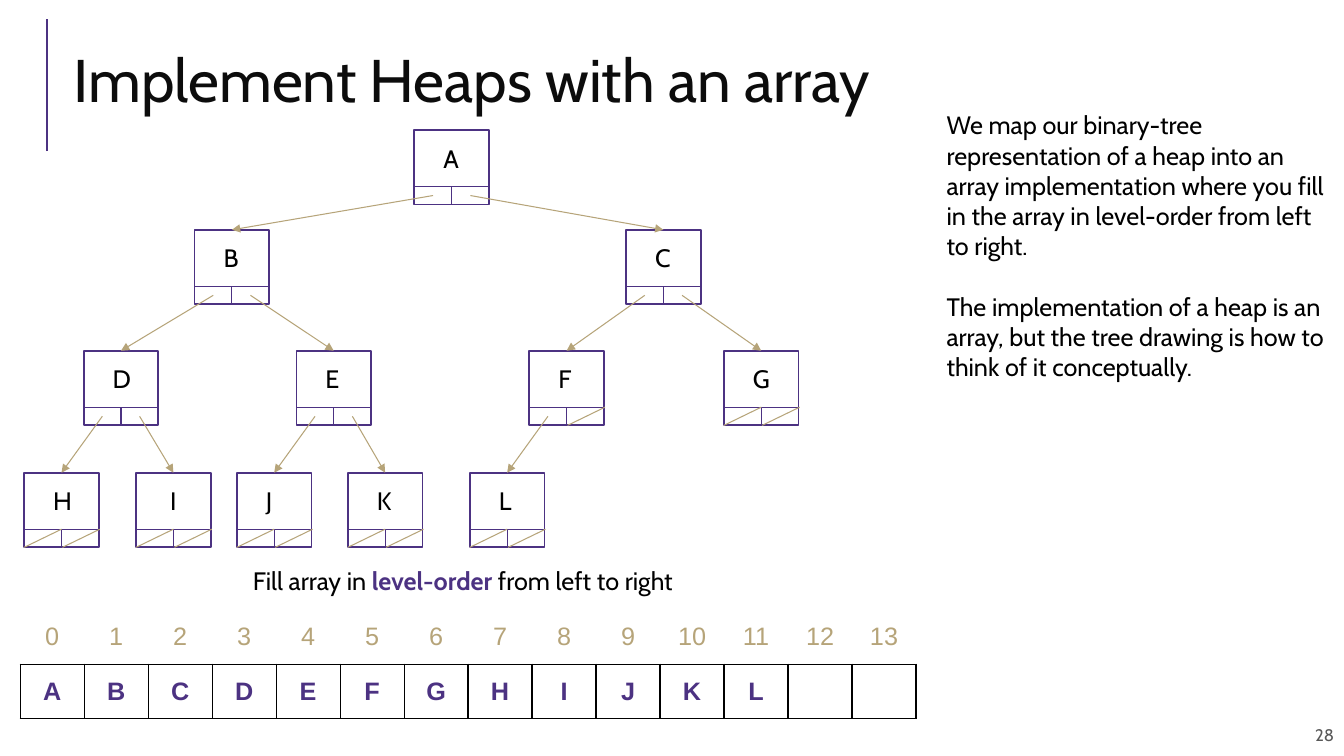
from dataclasses import dataclass

from lxml.etree import SubElement
from pptx import Presentation
from pptx.dml.color import RGBColor
from pptx.enum.shapes import MSO_CONNECTOR as CONN, MSO_SHAPE as SHAPE
from pptx.enum.text import MSO_ANCHOR as ANCHOR, MSO_AUTO_SIZE as AUTO, PP_ALIGN as ALIGN
from pptx.oxml.ns import qn
from pptx.util import Inches, Pt


@dataclass(frozen=True)
class Theme:
    purple: str = "4C3282"
    gold: str = "B6A479"
    black: str = "000000"
    white: str = "FFFFFF"
    title_color: str = "0C0C0C"
    grey: str = "595959"
    font: str = "Cabin"
    table_font: str = "Arial"
    title_size: int = 43
    body_size: int = 18
    number_size: int = 12


T = Theme()

NODE = 0.74
HALF = NODE / 2
POINTER_TOP = 0.56
POINTER_MID = 0.65
LETTERS = "ABCDEFGHIJKL"
LEVEL_TOPS = [1.29, 2.28, 3.48, 4.69]
NODE_LEFTS = [4.11, 1.93, 6.21, 0.83, 2.94, 5.25, 7.18,
              0.24, 1.35, 2.35, 3.45, 4.66]
SLOTS = 14
SIDE_NOTES = [
    "We map our binary-tree representation of a heap into an array "
    "implementation where you fill in the array in level-order from left to right.",
    "The implementation of a heap is an array, but the tree drawing is how to "
    "think of it conceptually.",
]


def rgb(color):
    return RGBColor.from_string(color)


def style(font, color, size=T.body_size, name=T.font, bold=False):
    font.name, font.size, font.bold = name, Pt(size), bold
    font.color.rgb = rgb(color)


def add_line(shapes, x1, y1, x2, y2, color, width=0.75, arrow=False):
    c = shapes.add_connector(CONN.STRAIGHT, *map(Inches, (x1, y1, x2, y2)))
    c.line.color.rgb = rgb(color)
    c.line.width = Pt(width)
    if arrow:
        SubElement(c.line._get_or_add_ln(), qn("a:tailEnd"), type="triangle")
    SubElement(c._element.spPr, qn("a:effectLst"))


def add_text(shapes, x, y, w, h, paragraphs, color=T.black, size=T.body_size,
             align=ALIGN.LEFT, wrap=True, gap=0):
    tf = shapes.add_textbox(*map(Inches, (x, y, w, h))).text_frame
    tf.word_wrap = wrap
    for i, text in enumerate(paragraphs):
        p = tf.add_paragraph() if i else tf.paragraphs[0]
        p.text, p.alignment = text, align
        p.space_before = Pt(gap if i else 0)
        style(p.font, color, size)
    return tf


def node_origin(index):
    level = (index + 1).bit_length() - 1
    return NODE_LEFTS[index], LEVEL_TOPS[level]


def add_node(s, index):
    x, y = node_origin(index)
    letter = LETTERS[index]
    shapes = s.shapes.add_group_shape().shapes
    box = shapes.add_shape(SHAPE.RECTANGLE, *map(Inches, (x, y, NODE, NODE)))
    box.shadow.inherit = False
    box.fill.background()
    box.line.color.rgb = rgb(T.purple)
    box.line.width = Pt(1.25)
    indent = 0.24 if letter == "I" else 0.19
    add_text(shapes, x + indent, y + 0.08, 0.36, 0.4, [letter])
    add_line(shapes, x, y + POINTER_TOP, x + NODE, y + POINTER_TOP, T.purple)
    add_line(shapes, x + HALF, y + POINTER_TOP, x + HALF, y + NODE, T.purple)
    for side in range(2):
        if 2 * index + 1 + side >= len(LETTERS):
            left = x + side * (HALF + 0.01)
            add_line(shapes, left, y + NODE, left + HALF, y + POINTER_TOP, T.gold)


def add_tree(s):
    for index in range(len(LETTERS)):
        add_node(s, index)
    for child in range(1, len(LETTERS)):
        parent, side = divmod(child - 1, 2)
        x, y = node_origin(parent)
        cx, cy = node_origin(child)
        add_line(s.shapes, x + HALF * (side + 0.5), y + POINTER_MID,
                 cx + HALF, cy, T.gold, arrow=True)


def add_borders(cell, sides):
    tc_pr = cell._tc.get_or_add_tcPr()
    for side in sides:
        ln = SubElement(tc_pr, qn("a:ln" + side), w=str(Pt(1)))
        fill = SubElement(ln, qn("a:solidFill"))
        SubElement(fill, qn("a:srgbClr"), val=T.black)


def add_array(s):
    table = s.shapes.add_table(2, SLOTS, *map(Inches, (0.2, 6.05, 8.89, 1.08))).table
    table.first_row = table.horz_banding = False
    rows = [
        (map(str, range(SLOTS)), T.gold, False, "B"),
        (LETTERS.ljust(SLOTS), T.purple, True, "LRTB"),
    ]
    for r, (texts, color, bold, sides) in enumerate(rows):
        for c, text in enumerate(texts):
            cell = table.cell(r, c)
            add_borders(cell, sides)
            cell.fill.solid()
            cell.fill.fore_color.rgb = rgb(T.white)
            cell.vertical_anchor = ANCHOR.MIDDLE
            p = cell.text_frame.paragraphs[0]
            p.text, p.alignment = text.strip(), ALIGN.CENTER
            style(p.font, color, name=T.table_font, bold=bold)


def add_title(s, text):
    title = s.shapes.title
    title.left, title.top, title.width, title.height = map(
        Inches, (0.63, 0.29, 12.23, 1.11))
    tf = title.text_frame
    tf.text = text
    tf.auto_size = AUTO.NONE
    tf.vertical_anchor = ANCHOR.MIDDLE
    p = tf.paragraphs[0]
    p.alignment, p.line_spacing = ALIGN.LEFT, 0.8
    style(p.font, T.title_color, T.title_size)


def add_caption(s):
    p = add_text(s.shapes, 2.41, 5.56, 4.47, 0.4, [""], wrap=False).paragraphs[0]
    for text, color, bold in [("Fill array in ", T.black, False),
                              ("level-order", T.purple, True),
                              (" from left to right", T.black, False)]:
        r = p.add_run()
        r.text = text
        style(r.font, color, bold=bold)


def main():
    prs = Presentation()
    prs.slide_width, prs.slide_height = Inches(13.33), Inches(7.5)
    s = prs.slides.add_slide(prs.slide_layouts[5])
    add_line(s.shapes, 0.47, 1.5, 0.47, 0.19, T.purple, 1.5)
    add_title(s, "Implement Heaps with an array")
    add_tree(s)
    add_array(s)
    add_caption(s)
    add_text(s.shapes, 9.29, 1.04, 4.04, 2.83, SIDE_NOTES, gap=21.6)
    add_text(s.shapes, 8.65, 7.14, 4.68, 0.32, ["28"], T.grey, T.number_size, ALIGN.RIGHT)
    prs.save("out.pptx")


if __name__ == "__main__":
    main()
